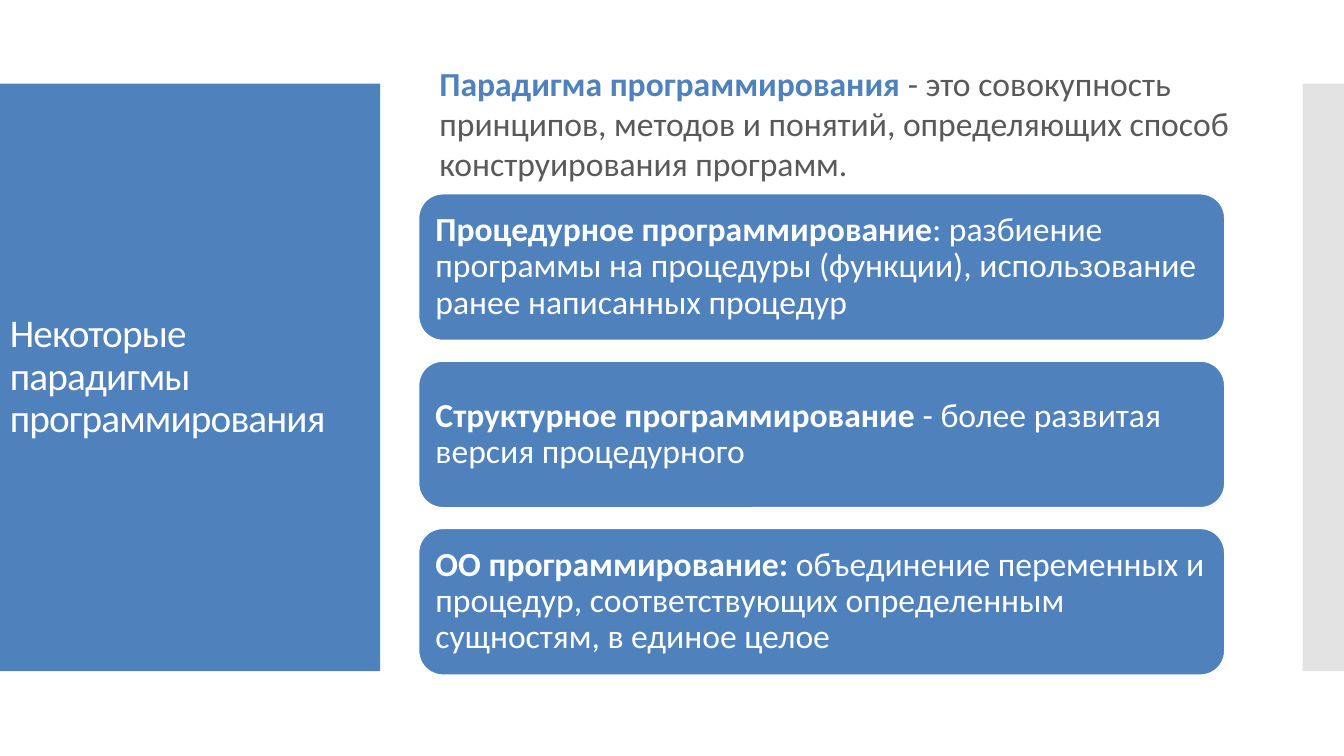
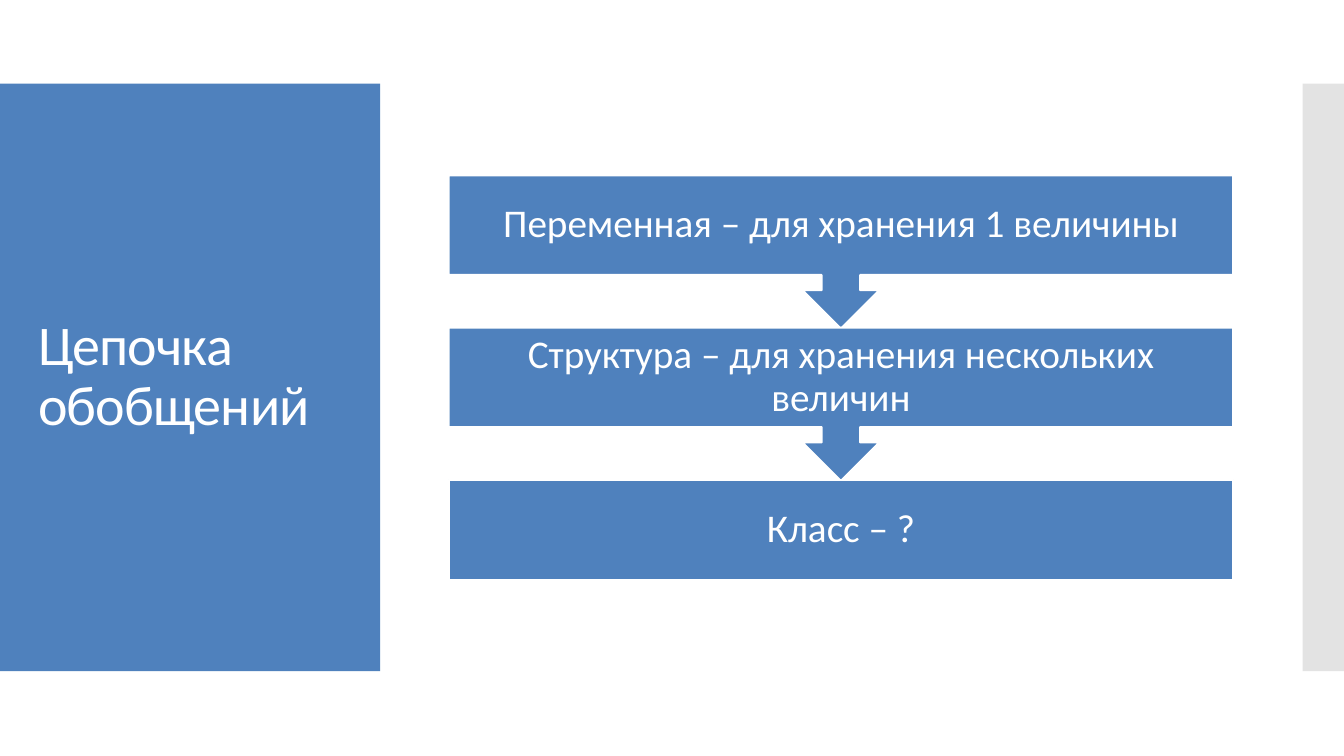
from dataclasses import dataclass

from lxml import etree
from pptx import Presentation
from pptx.dml.color import RGBColor
from pptx.enum import shapes, text
from pptx.oxml.ns import qn
from pptx.util import Inches, Pt


@dataclass(frozen=True)
class Theme:
    font: str = "Calibri"
    accent: RGBColor = RGBColor(0x4F, 0x81, 0xBD)
    white: RGBColor = RGBColor(0xFF, 0xFF, 0xFF)
    grey_band: RGBColor = RGBColor(0xC8, 0xC8, 0xC8)
    body_color: RGBColor = RGBColor(0x59, 0x59, 0x59)
    outline: Pt = Pt(1.35)
    body: Pt = Pt(24)
    step: Pt = Pt(28)
    small_title: Pt = Pt(28)
    large_title: Pt = Pt(40)


THEME = Theme()
SHAPE = shapes.MSO_SHAPE
MIDDLE = text.MSO_ANCHOR.MIDDLE

prs = Presentation()
prs.slide_width, prs.slide_height = Inches(13.33), Inches(7.5)


def add_block(slide, kind, left, top, width, height, fill=None, outlined=False):
    """Add a preset shape, or a text box if kind is None, ready for wrapped text."""
    box = [Inches(n) for n in (left, top, width, height)]
    if kind is None:
        block = slide.shapes.add_textbox(*box)
    else:
        block = slide.shapes.add_shape(kind, *box)
        block.shadow.inherit = False
        block.fill.solid()
        block.fill.fore_color.rgb = fill
        if outlined:
            block.line.color.rgb = THEME.white
            block.line.width = THEME.outline
        else:
            block.line.fill.background()
    block.text_frame.word_wrap = True
    return block


def write(block, runs, size, align=text.PP_ALIGN.LEFT, spacing=0.9, anchor=MIDDLE):
    """Write one paragraph from (words, bold, colour) runs and return it."""
    block.text_frame.vertical_anchor = anchor
    paragraph = block.text_frame.paragraphs[0]
    paragraph.alignment = align
    paragraph.line_spacing = spacing
    paragraph.font.name = THEME.font
    paragraph.font.size = size
    for words, bold, color in runs:
        run = paragraph.add_run()
        run.text = words
        run.font.bold = bold
        run.font.color.rgb = color
    return paragraph


# Bands and title of every slide
titles = [
    ("Некоторые парадигмы программирования", THEME.small_title, 0, 3.74),
    ("Цепочка обобщений", THEME.large_title, 0.28, 3.22),
]
slides = []
for words, size, left, width in titles:
    slide = prs.slides.add_slide(prs.slide_layouts[6])
    add_block(slide, SHAPE.RECTANGLE, 0, 0.83, 3.77, 5.83, THEME.accent)
    side_band = add_block(slide, SHAPE.RECTANGLE, 12.92, 0.83, 0.41, 5.83, THEME.grey_band)
    band_color = side_band.fill._xPr.find(".//" + qn("a:srgbClr"))
    etree.SubElement(band_color, qn("a:alpha")).set("val", "50000")
    title = add_block(slide, None, left, 1.23, width, 5.03)
    paragraph = write(title, [(words, False, THEME.white)], size)
    paragraph.runs[0]._r.get_or_add_rPr().set("spc", "-60")
    slides.append(slide)
paradigms_slide, chain_slide = slides

# Slide 1: definition and three paradigms
definition = add_block(paradigms_slide, None, 4.26, 0.57, 8.3, 1.31)
write(definition, [
    ("Парадигма программирования", True, THEME.accent),
    (" - это совокупность принципов, методов и понятий, определяющих способ "
     "конструирования программ.", False, THEME.body_color),
], THEME.body, spacing=1.0, anchor=text.MSO_ANCHOR.TOP)

paradigms = [
    ("Процедурное программирование",
     ": разбиение программы на процедуры (функции), использование ранее написанных процедур"),
    ("Структурное программирование ", "- более развитая версия процедурного"),
    ("ОО программирование: ",
     "объединение переменных и процедур, соответствующих определенным сущностям, "
     "в единое целое"),
]
for i, (name, meaning) in enumerate(paradigms):
    card = add_block(paradigms_slide, SHAPE.ROUNDED_RECTANGLE,
                     4.15, 1.92 + i * 1.66, 8, 1.46, THEME.accent, outlined=True)
    write(card, [(name, True, THEME.white), (meaning, False, THEME.white)], THEME.body)

# Slide 2: chain of generalisations, all but the last step pointing down
steps = [
    "Переменная – для хранения 1 величины",
    "Структура – для хранения нескольких величин",
    "Класс – ?",
]
for i, words in enumerate(steps):
    last = i == len(steps) - 1
    kind, height = (SHAPE.RECTANGLE, 0.99) if last else (SHAPE.DOWN_ARROW_CALLOUT, 1.52)
    step = add_block(chain_slide, kind, 4.45, 1.74 + i * 1.51, 7.78, height,
                     THEME.accent, outlined=True)
    step.text_frame.margin_left = step.text_frame.margin_right = Inches(0.22)
    write(step, [(words, False, THEME.white)], THEME.step, align=text.PP_ALIGN.CENTER)

prs.save("out.pptx")
